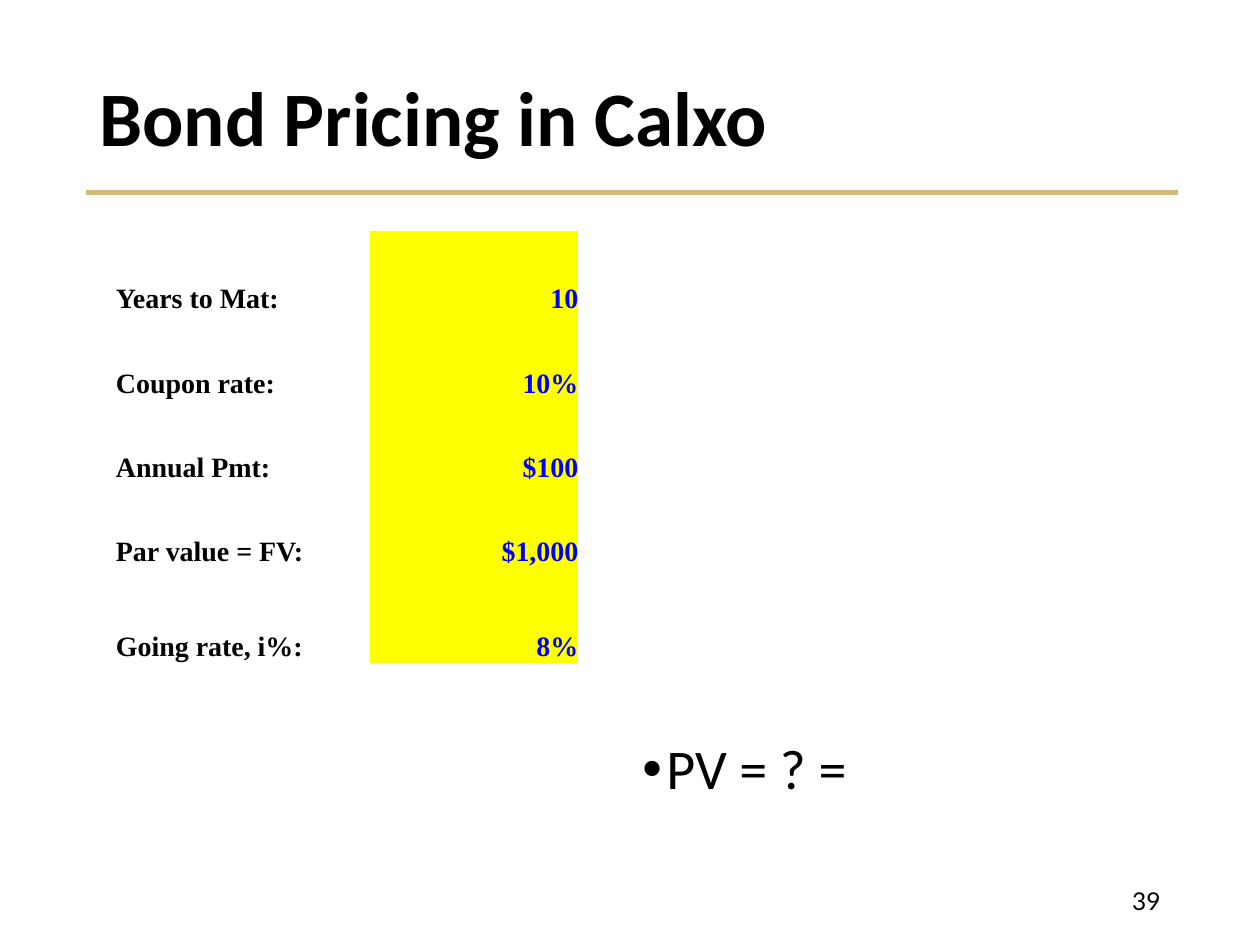
from lxml import etree
from pptx import Presentation
from pptx.dml.color import RGBColor
from pptx.enum.shapes import MSO_CONNECTOR
from pptx.enum.text import MSO_ANCHOR, PP_ALIGN
from pptx.oxml.ns import qn
from pptx.util import Inches, Pt

BLACK = RGBColor(0x00, 0x00, 0x00)
BLUE = RGBColor(0x00, 0x00, 0xFF)
YELLOW = RGBColor(0xFF, 0xFF, 0x00)
GOLD = RGBColor(0xCF, 0xB8, 0x7C)
PLAIN_TABLE_STYLE = "{2D5ABB26-0587-4C30-8999-92F81FD0307C}"

BOND_INPUTS = [
    ("Years to Mat:", "10"),
    ("Coupon rate:", "10%"),
    ("Annual Pmt:", "$100"),
    ("Par value = FV:", "$1,000"),
    ("Going rate, i%:", "8%"),
]


class SlideBuilder:
    heading_font = "Calibri"
    table_font = "Times New Roman"
    number_font = "Lato"

    def __init__(self, page):
        self.page = page

    def format_paragraph(self, paragraph, font, size, color=BLACK, bold=False,
                         align=PP_ALIGN.LEFT):
        paragraph.alignment = align
        for span in paragraph.runs:
            span.font.name = font
            span.font.size = Pt(size)
            span.font.bold = bold
            span.font.color.rgb = color

    def add_rule(self, left, right, top):
        rule = self.page.shapes.add_connector(
            MSO_CONNECTOR.STRAIGHT, Inches(left), Inches(top), Inches(right), Inches(top))
        rule.line.color.rgb = GOLD
        rule.line.width = Pt(3)
        etree.SubElement(rule._element.spPr, qn("a:effectLst"))

    def add_text(self, text, left, top, width, height, font, size,
                 anchor=MSO_ANCHOR.MIDDLE, **style):
        box = self.page.shapes.add_textbox(
            Inches(left), Inches(top), Inches(width), Inches(height))
        frame = box.text_frame
        frame.word_wrap = True
        frame.vertical_anchor = anchor
        frame.text = text
        paragraph = frame.paragraphs[0]
        self.format_paragraph(paragraph, font, size, **style)
        return paragraph

    def add_bullet(self, paragraph, indent):
        properties = paragraph._p.get_or_add_pPr()
        properties.set("marL", str(Inches(indent)))
        properties.set("indent", str(-Inches(indent)))
        etree.SubElement(properties, qn("a:buFont"), typeface="Arial")
        etree.SubElement(properties, qn("a:buChar"), char="•")

    def add_table(self, rows, left, top, column_widths, row_heights):
        table = self.page.shapes.add_table(
            len(rows), len(column_widths), Inches(left), Inches(top),
            Inches(sum(column_widths)), Inches(sum(row_heights))).table
        table.first_row = table.horz_banding = False
        table._tbl.tblPr.find(qn("a:tableStyleId")).text = PLAIN_TABLE_STYLE
        for column, width in zip(table.columns, column_widths):
            column.width = Inches(width)
        for row, height, (label, value) in zip(table.rows, row_heights, rows):
            row.height = Inches(height)
            self.fill_cell(row.cells[0], label, BLACK, PP_ALIGN.LEFT)
            self.fill_cell(row.cells[1], value, BLUE, PP_ALIGN.RIGHT, YELLOW)

    def fill_cell(self, cell, text, color, align, background=None):
        cell.margin_left = cell.margin_right = 0
        cell.margin_top = cell.margin_bottom = 0
        cell.vertical_anchor = MSO_ANCHOR.BOTTOM
        if background is None:
            cell.fill.background()
        else:
            cell.fill.solid()
            cell.fill.fore_color.rgb = background
        cell.text_frame.text = text
        self.format_paragraph(cell.text_frame.paragraphs[0], self.table_font, 16,
                              color, bold=True, align=align)


def main():
    deck = Presentation()
    deck.slide_width, deck.slide_height = Inches(10), Inches(7.5)
    builder = SlideBuilder(deck.slides.add_slide(deck.slide_layouts[6]))

    # Title and rule
    builder.add_rule(0.68, 9.35, 1.53)
    title = builder.add_text("Bond Pricing in Calxo", 0.69, 0.4, 8.62, 1.13,
                             builder.heading_font, 44, bold=True)
    title.line_spacing = 0.9

    # Bond inputs
    builder.add_table(BOND_INPUTS, 0.92, 1.83, [2.02, 1.65], [0.67] * 4 + [0.75])

    # Present value question
    question = builder.add_text("PV = ? =", 5, 5.83, 4.31, 0.92,
                                builder.heading_font, 32, anchor=MSO_ANCHOR.TOP)
    question.line_spacing = 0.9
    builder.add_bullet(question, 0.19)

    # Page number
    builder.add_text("39", 7.06, 6.95, 2.25, 0.4, builder.number_font, 14,
                     align=PP_ALIGN.RIGHT)

    deck.save("out.pptx")


if __name__ == "__main__":
    main()
